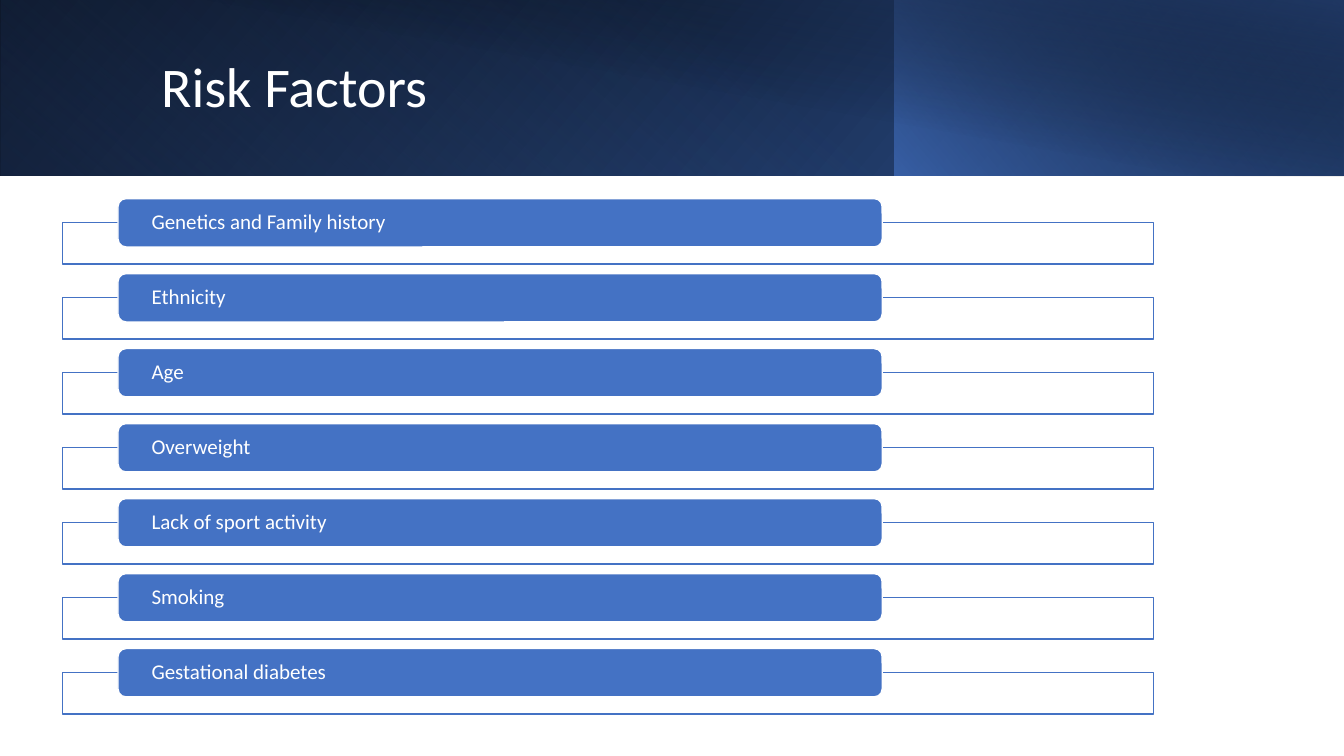
"""Build the Risk Factors slide: a gradient header above a list of labelled bars."""
from lxml import etree
from pptx import Presentation
from pptx.dml.color import RGBColor
from pptx.enum.shapes import MSO_SHAPE as Shape
from pptx.enum.text import MSO_ANCHOR as Anchor, PP_ALIGN as Align
from pptx.oxml.ns import qn
from pptx.util import Inches, Pt

BLUE = "4472C4"
NAVY = "203864"
WHITE = "FFFFFF"
BLACK = "000000"
HEADER_HEIGHT = 1.74
FIRST_TOP = 1.97
ROW_STEP = 0.744
FACTORS = [
    "Genetics and Family history",
    "Ethnicity",
    "Age",
    "Overweight",
    "Lack of sport activity",
    "Smoking",
    "Gestational diabetes",
]


def color(value):
    """Turn a hex string into a colour."""
    return RGBColor.from_string(value)


def add_alpha(color_element, percent):
    """Set the opacity of a colour element."""
    etree.SubElement(color_element, qn("a:alpha"), val=str(percent * 1000))


def write_text(shape, text, size, inset=0.1, inset_y=0.05):
    """Write one left-aligned, vertically centred white line in a shape."""
    frame = shape.text_frame
    frame.word_wrap = True
    frame.vertical_anchor = Anchor.MIDDLE
    frame.margin_left = frame.margin_right = Inches(inset)
    frame.margin_top = frame.margin_bottom = Inches(inset_y)
    paragraph = frame.paragraphs[0]
    paragraph.alignment = Align.LEFT
    paragraph.line_spacing = 0.9
    run = paragraph.add_run()
    run.text = text
    run.font.name = "Calibri"
    run.font.size = Pt(size)
    run.font.color.rgb = color(WHITE)


class SlideBuilder:
    """Hold the current slide and draw its kinds of element."""

    def __init__(self, slide):
        """Keep the slide to draw on."""
        self.slide = slide

    def box(self, kind, left, top, width, height):
        """Add a shape without shadow or line."""
        shape = self.slide.shapes.add_shape(
            kind, Inches(left), Inches(top), Inches(width), Inches(height))
        shape.shadow.inherit = False
        shape.line.fill.background()
        return shape

    def gradient(self, left, width, height, stops, angle, flip=True, rotation=0):
        """Add a header layer whose stops are position, colour and opacity."""
        layer = self.box(Shape.RECTANGLE, left, 0, width, height)
        layer.rotation = rotation
        layer.fill.background()
        properties = layer._element.spPr
        if flip:
            properties.get_or_add_xfrm().set("flipH", "1")
        fill = etree.Element(qn("a:gradFill"), rotWithShape="1")
        stop_list = etree.SubElement(fill, qn("a:gsLst"))
        for position, value, opacity in stops:
            stop = etree.SubElement(stop_list, qn("a:gs"), pos=str(position * 1000))
            add_alpha(etree.SubElement(stop, qn("a:srgbClr"), val=value), opacity)
        etree.SubElement(fill, qn("a:lin"), ang=str(angle * 60000), scaled="0")
        properties.replace(properties.find(qn("a:noFill")), fill)

    def title(self, text):
        """Add the slide title."""
        shape = self.slide.shapes.add_textbox(
            Inches(1.5), Inches(0.32), Inches(10.82), Inches(1.13))
        write_text(shape, text, 40)

    def panel(self, kind, left, top, width, height, fill, line):
        """Add a filled and outlined shape."""
        shape = self.box(kind, left, top, width, height)
        shape.fill.solid()
        shape.fill.fore_color.rgb = color(fill)
        shape.line.color.rgb = color(line)
        shape.line.width = Pt(1)
        return shape

    def factor(self, text, top):
        """Add one risk factor: an outlined frame with a labelled bar on it."""
        frame = self.panel(Shape.RECTANGLE, 0.62, top + 0.24, 10.82, 0.41, WHITE, BLUE)
        add_alpha(frame._element.spPr.find(qn("a:solidFill"))[0], 90)
        bar = self.panel(Shape.ROUNDED_RECTANGLE, 1.17, top, 7.58, 0.48, BLUE, WHITE)
        write_text(bar, text, 15, inset=0.31, inset_y=0)


def main():
    """Create the presentation and save it."""
    presentation = Presentation()
    presentation.slide_width = Inches(13.33)
    presentation.slide_height = Inches(7.5)
    builder = SlideBuilder(presentation.slides.add_slide(presentation.slide_layouts[6]))
    builder.gradient(0, 13.33, HEADER_HEIGHT,
                     [(0, BLACK, 100), (100, "2F5597", 100)], 140)
    builder.gradient(0, 8.88, HEADER_HEIGHT,
                     [(20, BLUE, 0), (100, NAVY, 55)], 230, rotation=180)
    builder.gradient(8.87, 4.46, HEADER_HEIGHT,
                     [(0, BLUE, 66), (100, BLACK, 30)], 220)
    builder.gradient(0.5, 12.83, 1.75,
                     [(50, BLACK, 0), (99, NAVY, 52)], 280, flip=False)
    builder.title("Risk Factors")
    for row, text in enumerate(FACTORS):
        builder.factor(text, FIRST_TOP + row * ROW_STEP)
    presentation.save("out.pptx")


if __name__ == "__main__":
    main()
